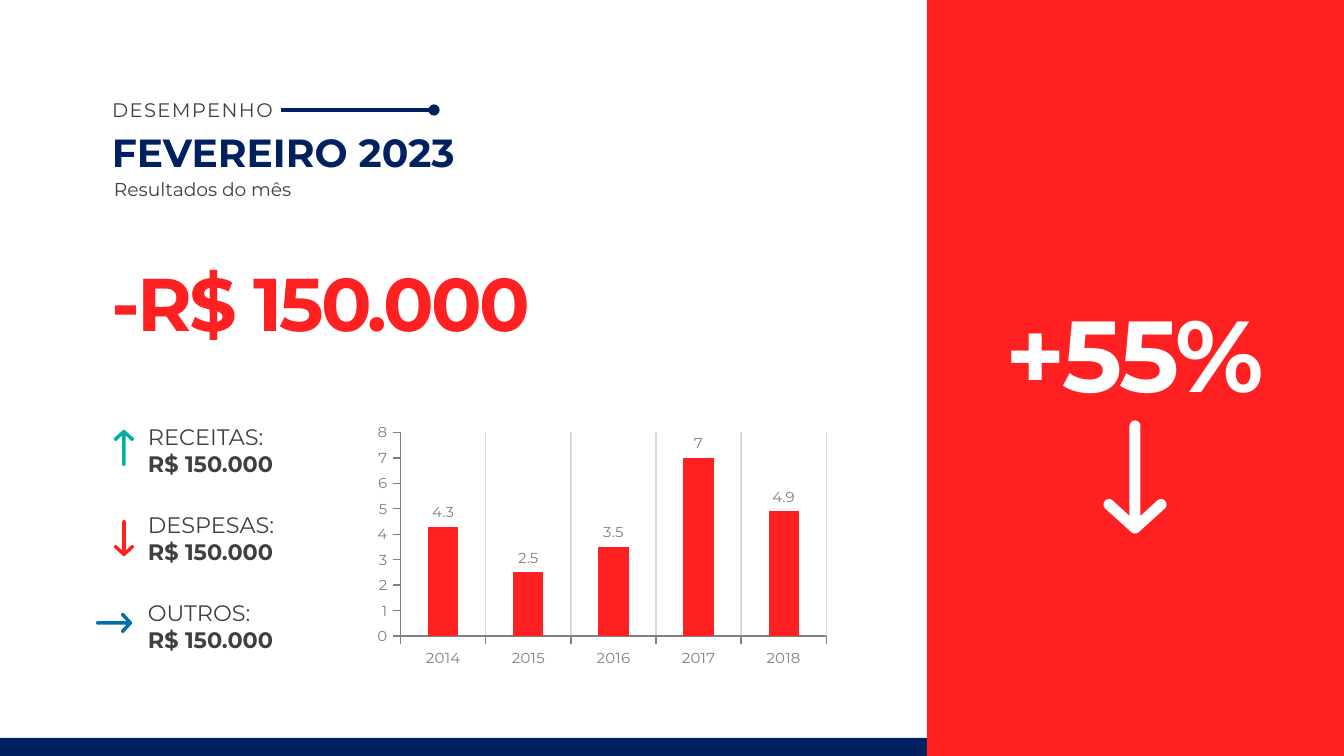
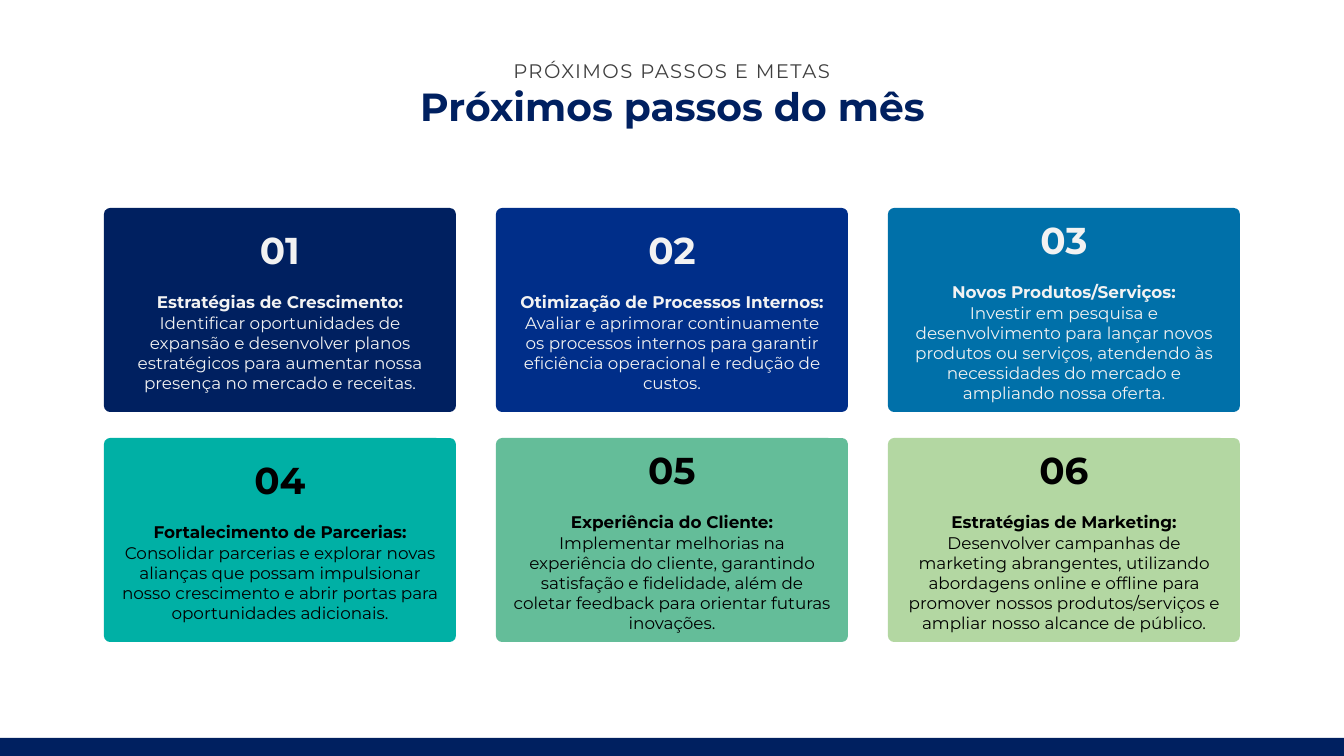
"""Builds a monthly results slide and a next steps slide."""
from math import cos, radians, sin

from lxml import etree
from pptx import Presentation
from pptx.chart.data import CategoryChartData
from pptx.dml.color import RGBColor
from pptx.enum.chart import XL_CHART_TYPE, XL_LABEL_POSITION, XL_TICK_MARK
from pptx.enum.shapes import MSO_CONNECTOR, MSO_SHAPE
from pptx.enum.text import MSO_ANCHOR, MSO_AUTO_SIZE, PP_ALIGN
from pptx.oxml import parse_xml
from pptx.oxml.ns import nsdecls, qn
from pptx.util import Pt

RECT, ROUND_RECT = MSO_SHAPE.RECTANGLE, MSO_SHAPE.ROUNDED_RECTANGLE
LEFT, CENTER = PP_ALIGN.LEFT, PP_ALIGN.CENTER
TOP, MIDDLE = MSO_ANCHOR.TOP, MSO_ANCHOR.MIDDLE
GROW = MSO_AUTO_SIZE.SHAPE_TO_FIT_TEXT
STRAIGHT = MSO_CONNECTOR.STRAIGHT
COLUMNS = XL_CHART_TYPE.COLUMN_CLUSTERED
OUTSIDE_END = XL_LABEL_POSITION.OUTSIDE_END
TICK_OUT = XL_TICK_MARK.OUTSIDE

NAVY = RGBColor(0x00, 0x20, 0x60)
ROYAL = RGBColor(0x00, 0x2E, 0x89)
BLUE = RGBColor(0x00, 0x70, 0xA9)
TEAL = RGBColor(0x00, 0xB0, 0xA5)
GREEN = RGBColor(0x64, 0xBD, 0x99)
LIME = RGBColor(0xB3, 0xD7, 0xA2)
RED = RGBColor(0xFF, 0x21, 0x22)
WHITE = RGBColor(0xFF, 0xFF, 0xFF)
OFF_WHITE = RGBColor(0xF2, 0xF2, 0xF2)
BLACK = RGBColor(0x00, 0x00, 0x00)
DARK = RGBColor(0x40, 0x40, 0x40)
GRAY = RGBColor(0x80, 0x80, 0x80)
PALE = RGBColor(0xD9, 0xD9, 0xD9)

FONT = "Montserrat"
EMU_PER_PX = 914400 / 134.4
WIDTH, HEIGHT, FOOTER = 1344, 756, 18

TITLE = {"size": 21, "bold": True, "color": NAVY}
EYEBROW = {"size": 10.5, "color": DARK, "spacing": 80}
SUBTITLE = {"size": 10, "color": DARK}
AMOUNT = {"size": 40, "bold": True, "color": RED, "spacing": -150}
CHANGE = {"size": 54, "bold": True, "color": WHITE, "spacing": -150}
ITEM = {"size": 12, "color": DARK}
ITEM_VALUE = ITEM | {"bold": True}
AXIS = {"size": 8, "color": GRAY}

FLOWS = [
    ("RECEITAS:", "R$ 150.000", TEAL, 0, 448),
    ("DESPESAS:", "R$ 150.000", RED, 180, 538),
    ("OUTROS:", "R$ 150.000", BLUE, 90, 623),
]
YEARS = ["2014", "2015", "2016", "2017", "2018"]
RESULTS = [4.3, 2.5, 3.5, 7, 4.9]
STEPS = [
    (NAVY, OFF_WHITE, "Estratégias de Crescimento:",
     "Identificar oportunidades de expansão e desenvolver planos estratégicos "
     "para aumentar nossa presença no mercado e receitas."),
    (ROYAL, OFF_WHITE, "Otimização de Processos Internos:",
     "Avaliar e aprimorar continuamente os processos internos para garantir "
     "eficiência operacional e redução de custos."),
    (BLUE, OFF_WHITE, "Novos Produtos/Serviços:",
     "Investir em pesquisa e desenvolvimento para lançar novos produtos ou "
     "serviços, atendendo às necessidades do mercado e ampliando nossa oferta."),
    (TEAL, BLACK, "Fortalecimento de Parcerias:",
     "Consolidar parcerias e explorar novas alianças que possam impulsionar "
     "nosso crescimento e abrir portas para oportunidades adicionais."),
    (GREEN, BLACK, "Experiência do Cliente:",
     "Implementar melhorias na experiência do cliente, garantindo satisfação e "
     "fidelidade, além de coletar feedback para orientar futuras inovações."),
    (LIME, BLACK, "Estratégias de Marketing:",
     "Desenvolver campanhas de marketing abrangentes, utilizando abordagens "
     "online e offline para promover nossos produtos/serviços e ampliar nosso "
     "alcance de público."),
]


def px(*lengths):
    return [round(length * EMU_PER_PX) for length in lengths]


def set_all(target, values):
    for name, value in values.items():
        setattr(target, name, value)


def style_font(font, style):
    values = {"name": FONT, "size": Pt(style["size"]), "bold": style.get("bold", False)}
    set_all(font, values)
    font.color.rgb = style["color"]


def arc(x, y, radius, start, end, steps=8):
    angles = [radians(start + (end - start) * i / steps) for i in range(steps + 1)]
    return [(x + radius * cos(a), y + radius * sin(a)) for a in angles]


def arrow_outline():
    right = arc(26, 29, 5.5, -48, 132) + [(5.5, 17.6)]
    left = [(-x, y) for x, y in reversed(right)]
    return arc(0, 5.5, 5.5, -132, -48) + right + arc(0, 107.5, 5.5, 0, 180) + left


class Deck:
    def __init__(self):
        self.show = Presentation()
        self.show.slide_width, self.show.slide_height = px(WIDTH, HEIGHT)
        self.shapes = None

    def new_slide(self):
        self.shapes = self.show.slides.add_slide(self.show.slide_layouts[6]).shapes
        self.box(0, HEIGHT - FOOTER, WIDTH, FOOTER, NAVY)

    def finish(self, shape, color):
        shape.shadow.inherit = False
        shape.fill.solid()
        shape.fill.fore_color.rgb = color
        shape.line.fill.background()
        return shape

    def box(self, x, y, width, height, color, kind=RECT):
        return self.finish(self.shapes.add_shape(kind, *px(x, y, width, height)), color)

    def paragraph(self, paragraph, text, style, align=LEFT, **spacing):
        set_all(paragraph, {"alignment": align} | spacing)
        run = paragraph.add_run()
        run.text = text
        style_font(run.font, style)
        if "spacing" in style:
            run.font._element.set("spc", str(style["spacing"]))

    def text(self, x, y, width, height, text, style, align=LEFT, wrap=True,
             anchor=TOP, inset=(13, 7), **spacing):
        frame = self.shapes.add_textbox(*px(x, y, width, height)).text_frame
        side, edge = px(*inset)
        set_all(frame, {
            "word_wrap": wrap, "auto_size": GROW, "vertical_anchor": anchor,
            "margin_left": side, "margin_right": side,
            "margin_top": edge, "margin_bottom": edge,
        })
        self.paragraph(frame.paragraphs[0], text, style, align, **spacing)

    def pointer(self, x1, x2, y, color):
        line = self.shapes.add_connector(STRAIGHT, *px(x1, y, x2, y))
        line.line.color.rgb = color
        line.line.width = Pt(2)
        etree.SubElement(line.line._get_or_add_ln(), qn("a:tailEnd"), type="oval")
        etree.SubElement(line._element.spPr, qn("a:effectLst"))

    def arrow(self, center_x, center_y, width, height, color, rotation):
        points = [(x * 1000, y * 1000) for x, y in arrow_outline()]
        builder = self.shapes.build_freeform(*points[0])
        builder.add_line_segments(points[1:], close=True)
        arrow = self.finish(builder.convert_to_shape(), color)
        left, top, wide, high = px(
            center_x - width / 2, center_y - height / 2, width, height)
        set_all(arrow, {"left": left, "top": top, "width": wide, "height": high,
                        "rotation": rotation})

    def column_chart(self, x, y, width, height, categories, values, color):
        data = CategoryChartData()
        data.categories = categories
        data.add_series("Series 1", values)
        chart = self.shapes.add_chart(COLUMNS, *px(x, y, width, height), data).chart
        set_all(chart, {"has_legend": False, "has_title": False})
        style_font(chart.font, AXIS)
        for axis in (chart.category_axis, chart.value_axis):
            axis.major_tick_mark = TICK_OUT
            axis.format.line.color.rgb = GRAY
            axis.format.line.width = Pt(0.75)
            style_font(axis.tick_labels.font, AXIS)
        chart.category_axis.has_major_gridlines = True
        grid_line = chart.category_axis.major_gridlines.format.line
        grid_line.color.rgb = PALE
        grid_line.width = Pt(0.75)
        set_all(chart.value_axis, {"has_major_gridlines": False, "minimum_scale": 0,
                                   "maximum_scale": 8, "major_unit": 1})
        plot = chart.plots[0]
        set_all(plot, {"gap_width": 182, "vary_by_categories": False,
                       "has_data_labels": True})
        set_all(plot.data_labels, {"show_value": True, "position": OUTSIDE_END})
        style_font(plot.data_labels.font, AXIS)
        fill = plot.series[0].format.fill
        fill.solid()
        fill.fore_color.rgb = color
        self.place_plot(chart, {"x": 0.057, "y": 0.039, "w": 0.943, "h": 0.859})

    def place_plot(self, chart, place):
        modes = "".join(f'<c:{side}Mode val="edge"/>' for side in "xy")
        sizes = "".join(f'<c:{side} val="{value}"/>' for side, value in place.items())
        area = chart._chartSpace.chart.plotArea
        for layout in area.findall(qn("c:layout")):
            area.remove(layout)
        area.insert(0, parse_xml(
            f'<c:layout {nsdecls("c")}><c:manualLayout><c:layoutTarget val="inner"/>'
            f"{modes}{sizes}</c:manualLayout></c:layout>"))

    def flow(self, y, label, value, color, rotation, arrow_y):
        layout = {"anchor": MIDDLE, "inset": (11, 0)}
        self.text(137, y, 207, 27, label, ITEM, **layout)
        self.text(137, y + 27, 207, 27, value, ITEM_VALUE, **layout)
        self.arrow(124 if rotation != 90 else 114, arrow_y, 20, 36, color, rotation)

    def card(self, x, y, number, fill, ink, heading, body):
        card = self.box(x, y, 352, 204, fill, ROUND_RECT)
        card.adjustments[0] = 0.03
        frame = card.text_frame
        side, edge = px(16, 7)
        set_all(frame, {
            "word_wrap": True, "vertical_anchor": MIDDLE,
            "margin_left": side, "margin_right": side,
            "margin_top": edge, "margin_bottom": edge,
        })
        strong = {"size": 9, "bold": True, "color": ink}
        self.paragraph(frame.paragraphs[0], f"{number:02}", strong | {"size": 20},
                       CENTER, space_after=Pt(11))
        self.paragraph(frame.add_paragraph(), heading, strong, CENTER)
        self.paragraph(frame.add_paragraph(), body, strong | {"bold": False}, CENTER)


def build_results(deck):
    deck.new_slide()
    deck.text(99, 121, 505, 60, "FEVEREIRO 2023", TITLE)
    deck.text(99, 91, 192, 38, "DESEMPENHO", EYEBROW, wrap=False)
    deck.pointer(281, 434, 110, NAVY)
    deck.text(99, 250, 505, 103, "-R$ 150.000", AMOUNT)
    deck.box(927, 0, WIDTH - 927, HEIGHT, RED)
    deck.arrow(1135, 477, 63, 113, WHITE, 180)
    deck.text(978, 285, 313, 136, "+55%", CHANGE, CENTER)
    deck.text(101, 160, 496, 43, "Resultados do mês", SUBTITLE, line_spacing=1.5)
    deck.column_chart(375, 423, 452, 245, YEARS, RESULTS, RED)
    for row, flow in enumerate(FLOWS):
        deck.flow(423 + 88 * row, *flow)


def build_next_steps(deck):
    deck.new_slide()
    deck.text(258, 75, 829, 60, "Próximos passos do mês", TITLE, CENTER)
    deck.text(493, 52, 358, 38, "PRÓXIMOS PASSOS E METAS", EYEBROW, CENTER, wrap=False)
    for index, step in enumerate(STEPS):
        row, column = divmod(index, 3)
        deck.card(104 + 392 * column, 208 + 230 * row, index + 1, *step)


def main():
    deck = Deck()
    build_results(deck)
    build_next_steps(deck)
    deck.show.save("out.pptx")


if __name__ == "__main__":
    main()
